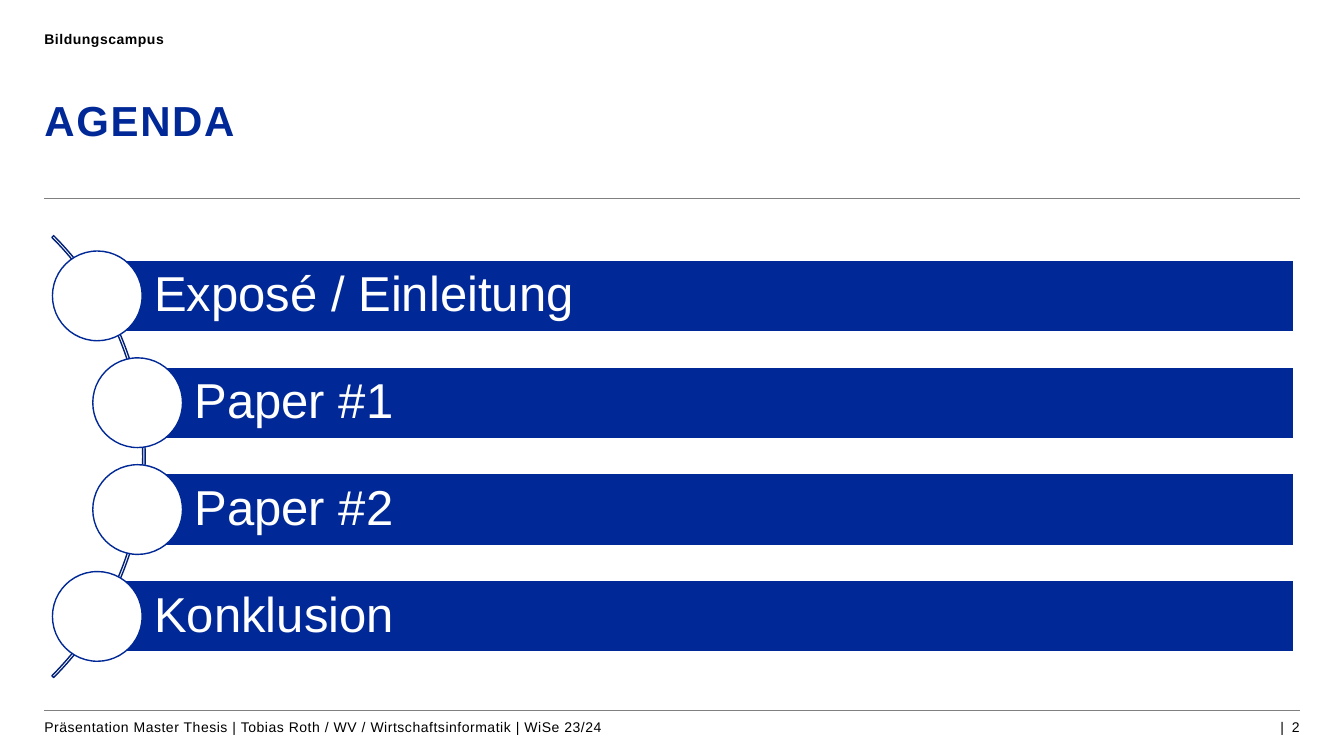
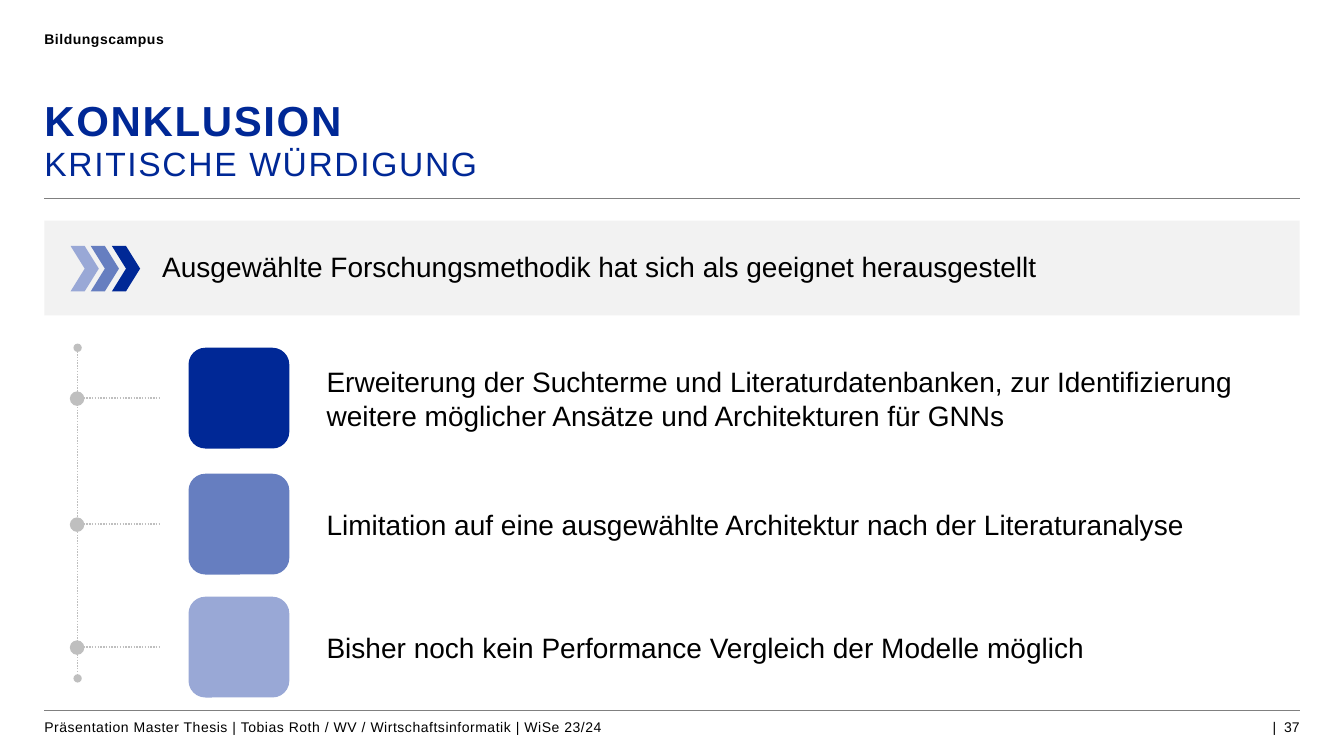
from dataclasses import dataclass

from lxml import etree
from pptx import Presentation
from pptx import util as u
from pptx.dml.color import RGBColor
from pptx.enum import dml, shapes, text
from pptx.oxml.ns import qn

PX = u.Inches(1) // 100


@dataclass(frozen=True)
class Theme:
    font: str = "Arial"
    blue: str = "002896"
    blue_dark: str = "002078"
    blue_mid: str = "667EC0"
    blue_light: str = "99A8D6"
    rule: str = "808080"
    dots: str = "BFBFBF"
    panel: str = "F2F2F2"
    black: str = "000000"
    white: str = "FFFFFF"
    small: int = 10
    body: int = 20
    subtitle: int = 24
    title: int = 30
    agenda: int = 35


THEME = Theme()
LEFT, RIGHT = 44, 1289
WIDTH = RIGHT - LEFT
FOOTER = "Präsentation Master Thesis | Tobias Roth / WV / Wirtschaftsinformatik | WiSe 23/24"


def px(*lengths):
    return [length * PX for length in lengths]


def rgb(color):
    return RGBColor.from_string(color)


def add_span(para, words, size=THEME.body, color=THEME.black, bold=False, spacing=0):
    """Add a run; spacing is the gap after each letter in points."""
    span = para.add_run()
    span.text = words
    span.font.name = THEME.font
    span.font.size = u.Pt(size)
    span.font.bold = bold
    span.font.color.rgb = rgb(color)
    if spacing:
        span.font._element.set("spc", str(round(spacing * 100)))


def prepare_frame(frame, margins, anchor, align=text.PP_ALIGN.LEFT, line_spacing=None):
    """Set up a text frame and return its first paragraph."""
    frame.word_wrap = True
    frame.vertical_anchor = anchor
    (frame.margin_left, frame.margin_top,
     frame.margin_right, frame.margin_bottom) = px(*margins)
    para = frame.paragraphs[0]
    para.alignment = align
    if line_spacing:
        para.line_spacing = line_spacing
    return para


def add_box(page, at, margins=(0, 0, 0, 0), anchor=text.MSO_ANCHOR.TOP, **layout):
    box = page.shapes.add_textbox(*px(*at))
    return prepare_frame(box.text_frame, margins, anchor, **layout)


def add_body(page, at, words, **layout):
    para = add_box(page, at, (10, 5, 10, 5), text.MSO_ANCHOR.MIDDLE, **layout)
    add_span(para, words)


def add_shape(page, kind, at, fill=None, line=None):
    shape = page.shapes.add_shape(kind, *px(*at))
    shape.shadow.inherit = False
    if fill:
        shape.fill.solid()
        shape.fill.fore_color.rgb = rgb(fill)
    else:
        shape.fill.background()
    if line:
        shape.line.color.rgb = rgb(line)
        shape.line.width = u.Pt(1)
    else:
        shape.line.fill.background()
    return shape


def add_line(page, start, end, color, width=1.0, dotted=False, oval_ends=False):
    line = page.shapes.add_connector(shapes.MSO_CONNECTOR.STRAIGHT, *px(*start, *end))
    line.line.color.rgb = rgb(color)
    line.line.width = u.Pt(width)
    if dotted:
        line.line.dash_style = dml.MSO_LINE.ROUND_DOT
    if oval_ends:
        outline = line.line._get_or_add_ln()
        for tag in ("a:headEnd", "a:tailEnd"):
            etree.SubElement(outline, qn(tag), type="oval")
    etree.SubElement(line._element.spPr, qn("a:effectLst"))


def add_page(deck, number, title, subtitle=None):
    """Add a slide with the shared header, title, rules and footer."""
    page = deck.slides.add_slide(deck.slide_layouts[6])
    for y in (197, 705):
        add_line(page, (LEFT, y), (RIGHT, y), THEME.rule, 0.5)
    add_span(add_box(page, (LEFT, 30, 807, 24)), "Bildungscampus",
             THEME.small, bold=True, spacing=0.4)
    add_span(add_box(page, (LEFT, 713, 807, 24)), FOOTER, THEME.small, spacing=0.4)

    para = add_box(page, (RIGHT - 208, 713, 208, 24), align=text.PP_ALIGN.RIGHT)
    add_span(para, "|", THEME.small, spacing=2.8)
    add_span(para, f" {number}", THEME.small)

    para = add_box(page, (LEFT, 98, WIDTH, 94), line_spacing=0.94)
    add_span(para, title, THEME.title, THEME.blue, bold=True, spacing=1.2)
    if subtitle:
        para.add_line_break()
        add_span(para, subtitle, THEME.subtitle, THEME.blue, spacing=1.2)
    return page


def add_agenda_item(page, left, top, words):
    bar = add_shape(page, shapes.MSO_SHAPE.RECTANGLE, (left, top, 1283 - left, 71),
                    THEME.blue, THEME.white)
    para = prepare_frame(bar.text_frame, (56, 10, 10, 10), text.MSO_ANCHOR.MIDDLE,
                         line_spacing=0.9)
    add_span(para, words, THEME.agenda, THEME.white)
    add_shape(page, shapes.MSO_SHAPE.OVAL, (left - 45, top - 9, 89, 89),
              THEME.white, THEME.blue)


def add_agenda(deck):
    page = add_page(deck, 2, "AGENDA")
    arc = add_shape(page, shapes.MSO_SHAPE.BLOCK_ARC, (-476, 143, 620, 620),
                    line=THEME.blue_dark)
    for index, value in enumerate((189, 27, 0.004)):
        arc.adjustments[index] = value
    items = ((97, "Exposé / Einleitung"), (137, "Paper #1"),
             (137, "Paper #2"), (97, "Konklusion"))
    for index, (left, words) in enumerate(items):
        add_agenda_item(page, left, 258 + 106 * index, words)


def add_banner(page, words):
    add_shape(page, shapes.MSO_SHAPE.RECTANGLE, (LEFT, 219, WIDTH, 94), THEME.panel)
    add_body(page, (151, 245, 1089, 42), words, line_spacing=0.95)
    for index, color in enumerate((THEME.blue_light, THEME.blue_mid, THEME.blue)):
        add_shape(page, shapes.MSO_SHAPE.CHEVRON, (70 + 41 * index // 2, 244, 28, 45), color)


def add_timeline_item(page, top, color, words):
    side, dot, axis = 100, 13, 77
    middle = top + side // 2
    add_line(page, (axis + 6, middle), (160, middle), THEME.dots, dotted=True)
    add_shape(page, shapes.MSO_SHAPE.OVAL, (axis - 7, middle - 6, dot, dot),
              THEME.dots, THEME.dots)
    add_shape(page, shapes.MSO_SHAPE.ROUNDED_RECTANGLE, (187, top, side, side), color)
    add_body(page, (314, top, RIGHT - 314, side), words)


def add_conclusion(deck):
    page = add_page(deck, 37, "KONKLUSION", "KRITISCHE WÜRDIGUNG")
    add_banner(page, "Ausgewählte Forschungsmethodik hat sich als geeignet herausgestellt")
    add_line(page, (77, 345), (77, 673), THEME.dots, dotted=True, oval_ends=True)
    items = (
        (345, THEME.blue, "Erweiterung der Suchterme und Literaturdatenbanken, zur "
         "Identifizierung weitere möglicher Ansätze und Architekturen für GNNs"),
        (470, THEME.blue_mid,
         "Limitation auf eine ausgewählte Architektur nach der Literaturanalyse"),
        (592, THEME.blue_light,
         "Bisher noch kein Performance Vergleich der Modelle möglich"),
    )
    for item in items:
        add_timeline_item(page, *item)


def main():
    deck = Presentation()
    deck.slide_width, deck.slide_height = px(1333, 750)
    add_agenda(deck)
    add_conclusion(deck)
    deck.save("out.pptx")


if __name__ == "__main__":
    main()
